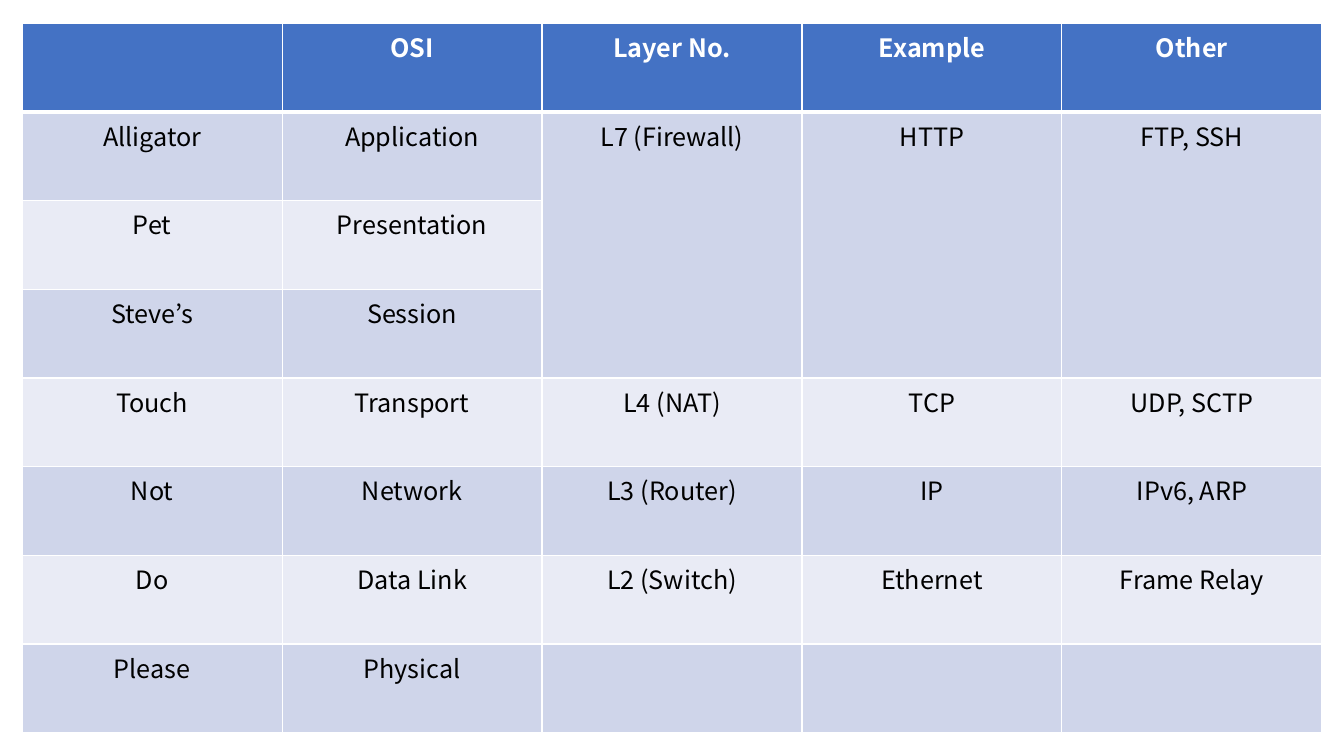
import pptx
import pptx.util
import pptx.dml.color
import pptx.enum.text
from lxml import etree
from pptx.util import Inches

THEME = {
    "font": "Noto Sans CJK KR",
    "size": 18,
    "head": "4472C4",
    "bands": ("CFD5EA", "E9EBF5"),
    "light": "FFFFFF",
    "dark": "000000",
    "thin": 1,
    "thick": 3,
}
NS = "http://schemas.openxmlformats.org/drawingml/2006/main"

LAYERS = [
    ("", "OSI", "Layer No.", "Example", "Other"),
    ("Alligator", "Application", "L7 (Firewall)", "HTTP", "FTP, SSH"),
    ("Pet", "Presentation", "", "", ""),
    ("Steve’s", "Session", "", "", ""),
    ("Touch", "Transport", "L4 (NAT)", "TCP", "UDP, SCTP"),
    ("Not", "Network", "L3 (Router)", "IP", "IPv6, ARP"),
    ("Do", "Data Link", "L2 (Switch)", "Ethernet", "Frame Relay"),
    ("Please", "Physical", "", "", ""),
]


def write(cell, text, color=THEME["dark"], bold=False):
    """Put centred text in a cell."""
    para = cell.text_frame.paragraphs[0]
    para.alignment = pptx.enum.text.PP_ALIGN.CENTER
    run = para.add_run()
    run.text = text
    run.font.name = THEME["font"]
    run.font.size = pptx.util.Pt(THEME["size"])
    run.font.bold = bold
    run.font.color.rgb = pptx.dml.color.RGBColor.from_string(color)


def edge(cell, side, width):
    """Draw one border of a cell; call in the order L, R, T, B."""
    props = cell._tc.get_or_add_tcPr()
    line = etree.SubElement(props, f"{{{NS}}}ln{side}", w=str(pptx.util.Pt(width)))
    fill = etree.SubElement(line, f"{{{NS}}}solidFill")
    etree.SubElement(fill, f"{{{NS}}}srgbClr", val=THEME["light"])


deck = pptx.Presentation()
deck.slide_width = Inches(13.33)
deck.slide_height = Inches(7.5)
slide = deck.slides.add_slide(deck.slide_layouts[6])

rows, cols = len(LAYERS), len(LAYERS[0])
frame = slide.shapes.add_table(
    rows, cols, Inches(0.22), Inches(0.23), Inches(12.89), Inches(7.04)
)
table = frame.table

for r, layer in enumerate(LAYERS):
    head = r == 0
    shade = THEME["head"] if head else THEME["bands"][(r - 1) % 2]
    ink = THEME["light"] if head else THEME["dark"]
    for c, text in enumerate(layer):
        cell = table.cell(r, c)
        for side in "LRTB":
            rule = (r, side) in ((0, "B"), (1, "T"))
            edge(cell, side, THEME["thick"] if rule else THEME["thin"])
        cell.fill.solid()
        cell.fill.fore_color.rgb = pptx.dml.color.RGBColor.from_string(shade)
        if text:
            write(cell, text, color=ink, bold=head)

# The firewall layer covers three rows
for c in range(2, cols):
    table.cell(1, c).merge(table.cell(3, c))

deck.save("out.pptx")
